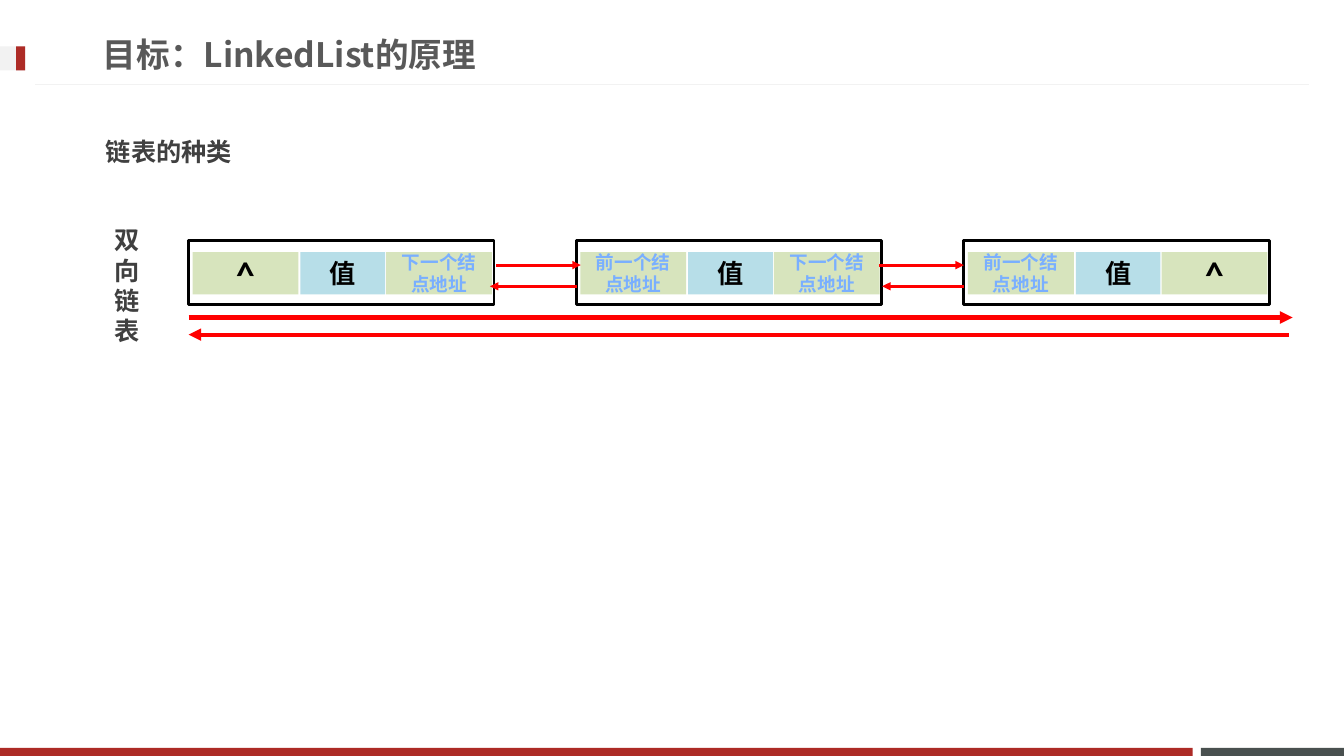
from dataclasses import dataclass

from lxml import etree
from pptx import Presentation
from pptx.dml.color import RGBColor
from pptx.enum.shapes import MSO_CONNECTOR, MSO_SHAPE
from pptx.enum.text import MSO_ANCHOR, MSO_AUTO_SIZE, PP_ALIGN
from pptx.oxml.ns import qn
from pptx.util import Inches, Pt

RECT = MSO_SHAPE.RECTANGLE
STRAIGHT = MSO_CONNECTOR.STRAIGHT
LEFT, CENTER = PP_ALIGN.LEFT, PP_ALIGN.CENTER
TOP, MIDDLE = MSO_ANCHOR.TOP, MSO_ANCHOR.MIDDLE
NO_AUTOFIT = MSO_AUTO_SIZE.NONE

SLIDE_W, SLIDE_H = 13.33, 7.5


@dataclass(frozen=True)
class Theme:
    red: str = "AD2B26"
    slate: str = "49504F"
    pale: str = "F2F2F2"
    title: str = "595959"
    text: str = "404040"
    black: str = "000000"
    arrow: str = "FF0000"
    value_fill: str = "B7DEE8"
    link_fill: str = "D7E4BD"
    link_text: str = "79AFFF"
    heading_font: str = "Noto Sans CJK JP"
    link_font: str = "Noto Sans CJK SC"
    value_font: str = "Calibri"
    title_size: float = 24
    heading_size: float = 18
    value_size: float = 18.7
    link_size: float = 13.3
    null_size: float = 26.7


T = Theme()
PREV, NEXT, VALUE, NULL = "前一个结点地址", "下一个结点地址", "值", "^"
CELL_STYLES = {
    PREV: (T.link_fill, T.link_font, T.link_size, T.link_text),
    NEXT: (T.link_fill, T.link_font, T.link_size, T.link_text),
    VALUE: (T.value_fill, T.value_font, T.value_size, T.black),
    NULL: (T.link_fill, T.value_font, T.null_size, T.black),
}
NODES = [(NULL, VALUE, NEXT), (PREV, VALUE, NEXT), (PREV, VALUE, NULL)]
NODE_W, NODE_H, NODE_PITCH = 3.03, 0.63, 3.845
CELL_GRID = [(0.04, 1.05), (1.11, 0.84), (1.96, 1.05)]  # offset, width
CELL_TOP, CELL_H = 0.11, 0.42


def rgb(value):
    return RGBColor.from_string(value)


def place(shape, box):
    shape.left, shape.top, shape.width, shape.height = map(Inches, box)


def write(shape, text, font, size, color, align=LEFT, anchor=TOP, spacing=1.0):
    tf = shape.text_frame
    tf.text = text
    tf.auto_size = NO_AUTOFIT
    tf.word_wrap = True
    tf.vertical_anchor = anchor
    for p in tf.paragraphs:
        p.alignment = align
        p.line_spacing = spacing
        p.space_before = Pt(0)
        for r in p.runs:
            r.font.name = font
            r.font.size = Pt(size)
            r.font.bold = True
            r.font.color.rgb = rgb(color)
            ea = etree.SubElement(r.font._element, qn("a:ea"))
            ea.set("typeface", font)
    return tf


def add_rect(s, box, fill=None, line=None):
    sp = s.shapes.add_shape(RECT, *map(Inches, box))
    sp.shadow.inherit = False
    if fill:
        sp.fill.solid()
        sp.fill.fore_color.rgb = rgb(fill)
    else:
        sp.fill.background()
    if line:
        sp.line.color.rgb = rgb(line)
        sp.line.width = Pt(2)
    else:
        sp.line.fill.background()
    return sp


def add_line(s, x1, x2, y, color, width, arrow=False):
    c = s.shapes.add_connector(STRAIGHT, Inches(x1), Inches(y), Inches(x2), Inches(y))
    c.line.color.rgb = rgb(color)
    c.line.width = Pt(width)
    if arrow:
        etree.SubElement(c.line._get_or_add_ln(), qn("a:tailEnd")).set("type", "triangle")
    etree.SubElement(c._element.spPr, qn("a:effectLst"))


def add_frame(s):
    """Footer bars, header rule and the marker beside the title."""
    bar_h = 0.08
    add_rect(s, (11.91, SLIDE_H - bar_h, SLIDE_W - 11.91, bar_h), T.slate)
    add_rect(s, (0, SLIDE_H - bar_h, 11.83, bar_h), T.red)
    add_line(s, 0.35, SLIDE_W - 0.35, 0.84, T.pale, 0.75)
    add_rect(s, (0, 0.46, 0.25, 0.24), T.pale)
    add_rect(s, (0.16, 0.46, 0.09, 0.24), T.red)


def add_headings(s, title, subtitle):
    head, body = s.shapes.title, s.placeholders[1]
    place(head, (0.92, -0.03, 7.85, 1.18))
    write(head, title, T.heading_font, T.title_size, T.title, anchor=MIDDLE, spacing=0.9)
    place(body, (0.95, 1.15, 5.12, 0.51))
    tf = write(body, subtitle, T.heading_font, T.heading_size, T.text, spacing=1.5)
    pPr = tf.paragraphs[0]._p.get_or_add_pPr()
    pPr.set("marL", "0")
    pPr.set("indent", "0")
    etree.SubElement(pPr, qn("a:buNone"))


def add_node(s, x, y, labels):
    for label, (dx, width) in zip(labels, CELL_GRID):
        fill, font, size, color = CELL_STYLES[label]
        cell = add_rect(s, (x + dx, y + CELL_TOP, width, CELL_H), fill)
        write(cell, label, font, size, color, CENTER, MIDDLE)
    add_rect(s, (x, y, NODE_W, NODE_H), line=T.black)


def add_linked_list(s, x, y, name):
    label = s.shapes.add_textbox(*map(Inches, (x - 0.83, y - 0.21, 0.45, 1.31)))
    write(label, "\n".join(name), T.heading_font, T.heading_size, T.text).word_wrap = False
    for i, labels in enumerate(NODES):
        add_node(s, x + i * NODE_PITCH, y, labels)

    # Start and end of each arrow, measured from the left of the list
    next_links = [(3.05, 3.89), (6.85, 7.69)]
    prev_links = [(3.85, 2.99), (7.69, 6.88)]
    directions = [(0, 10.95), (10.91, 0)]
    rows = [
        (next_links, 0.24, 2),
        (prev_links, 0.45, 2),
        (directions[:1], 0.76, 3),
        (directions[1:], 0.93, 3),
    ]
    for spans, dy, width in rows:
        for start, end in spans:
            add_line(s, x + start, x + end, y + dy, T.arrow, width, arrow=True)


def main():
    prs = Presentation()
    prs.slide_width, prs.slide_height = Inches(SLIDE_W), Inches(SLIDE_H)
    s = prs.slides.add_slide(prs.slide_layouts[1])
    add_frame(s)
    add_headings(s, "目标：LinkedList的原理", "链表的种类")
    add_linked_list(s, 1.87, 2.39, "双向链表")
    prs.save("out.pptx")


if __name__ == "__main__":
    main()
